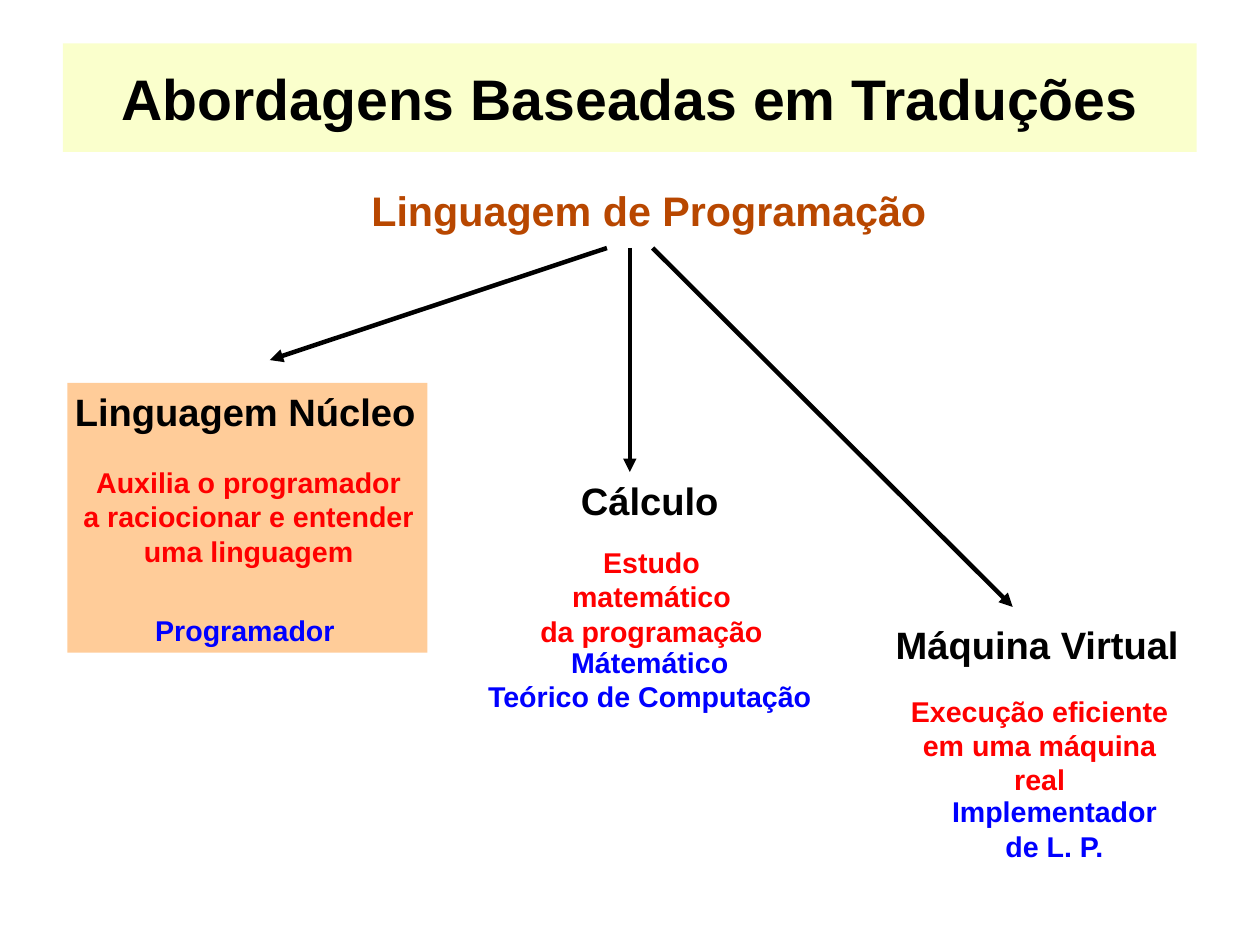
from lxml import etree
from pptx import Presentation
from pptx.dml.color import RGBColor
from pptx.enum.shapes import MSO_CONNECTOR, MSO_SHAPE
from pptx.enum.text import MSO_ANCHOR, MSO_AUTO_SIZE, PP_ALIGN
from pptx.oxml.ns import qn
from pptx.util import Inches, Pt

BLACK = RGBColor(0x00, 0x00, 0x00)
RED = RGBColor(0xFF, 0x00, 0x00)
BLUE = RGBColor(0x00, 0x00, 0xFF)
BROWN = RGBColor(0xB8, 0x47, 0x00)
PEACH = RGBColor(0xFF, 0xCC, 0x99)
LIME = RGBColor(0xE6, 0xFF, 0x00)
LEFT, MID = PP_ALIGN.LEFT, PP_ALIGN.CENTER

# Content: \v breaks a line, \n starts a paragraph; boxes are left, top, width, height
TITLE = "Abordagens Baseadas em Traduções"
ROOT = ("Linguagem de Programação", (3.15, 1.57, 5.12, 0.51))
HEADS = [
    ("Linguagem Núcleo", (0.47, 3.35, 3.35, 0.48)),
    ("Cálculo", (3.62, 4.13, 4.13, 0.48)),
    ("Máquina Virtual", (7.01, 5.39, 4.13, 0.48)),
]
GOALS = [
    ("Auxilia o programador\va raciocionar e entender\vuma linguagem",
     (0.63, 4.02, 3.09, 0.96)),
    ("Estudo matemático\vda programação", (4.45, 4.72, 2.5, 0.68)),
    ("Execução eficiente\vem uma máquina real", (7.72, 6.02, 2.75, 0.68)),
]
USERS = [
    ("Programador", (1.26, 5.31, 1.77, 0.39), LEFT),
    ("Mátemático\nTeórico de Computação", (4.17, 5.59, 3.03, 0.68), MID),
    ("Implementador\vde L. P.", (8.23, 6.9, 1.99, 0.68), MID),
]
ARROWS = [(5.31, 2.36, 3.15), (5.51, 5.51, 4.13), (5.71, 8.86, 5.31)]
START = 2.17  # top of every arrow


def style(frame, size, color, align):
    for para in frame.paragraphs:
        para.alignment = align
        font = para.font
        font.name, font.size, font.bold = "Arial", Pt(size), True
        font.color.rgb = color


def label(text, box, size, color, align=MID, wrap=True):
    frame = slide.shapes.add_textbox(*map(Inches, box)).text_frame
    frame.word_wrap = wrap
    frame.auto_size = MSO_AUTO_SIZE.SHAPE_TO_FIT_TEXT
    frame.text = text
    style(frame, size, color, align)


def arrow(left, right, end):
    line = slide.shapes.add_connector(
        MSO_CONNECTOR.STRAIGHT, *map(Inches, (left, START, right, end)))
    line.line.color.rgb = BLACK
    line.line.width = Pt(2.83)
    etree.SubElement(line.line._get_or_add_ln(), qn("a:tailEnd"), type="triangle")
    etree.SubElement(line._element.spPr, qn("a:effectLst"))


# Slide of 28 by 21 centimetres
deck = Presentation()
deck.slide_width = Inches(28 / 2.54)
deck.slide_height = Inches(21 / 2.54)
slide = deck.slides.add_slide(deck.slide_layouts[5])

# Panel behind the first branch
panel = slide.shapes.add_shape(
    MSO_SHAPE.RECTANGLE, *map(Inches, (0.59, 3.35, 3.15, 2.36)))
panel.shadow.inherit = False
panel.fill.solid()
panel.fill.fore_color.rgb = PEACH
panel.line.fill.background()

# Title on a pale band
title = slide.shapes.title
title.left, title.top, title.width, title.height = map(
    Inches, (0.55, 0.38, 9.92, 0.95))
title.fill.solid()
title.fill.fore_color.rgb = LIME
tint = title._element.spPr.find(".//" + qn("a:srgbClr"))
etree.SubElement(tint, qn("a:alpha"), val="20000")
frame = title.text_frame
frame.text = TITLE
frame.vertical_anchor = MSO_ANCHOR.MIDDLE
frame.margin_left = frame.margin_right = frame.margin_top = frame.margin_bottom = 0
style(frame, 36, BLACK, MID)

# Root, branches and arrows
label(*ROOT, 26, BROWN, LEFT)
for text, box in HEADS:
    label(text, box, 24, BLACK)
for ends in ARROWS:
    arrow(*ends)
for text, box in GOALS:
    label(text, box, 18, RED, wrap=False)
for text, box, align in USERS:
    label(text, box, 18, BLUE, align, wrap=False)

deck.save("out.pptx")
